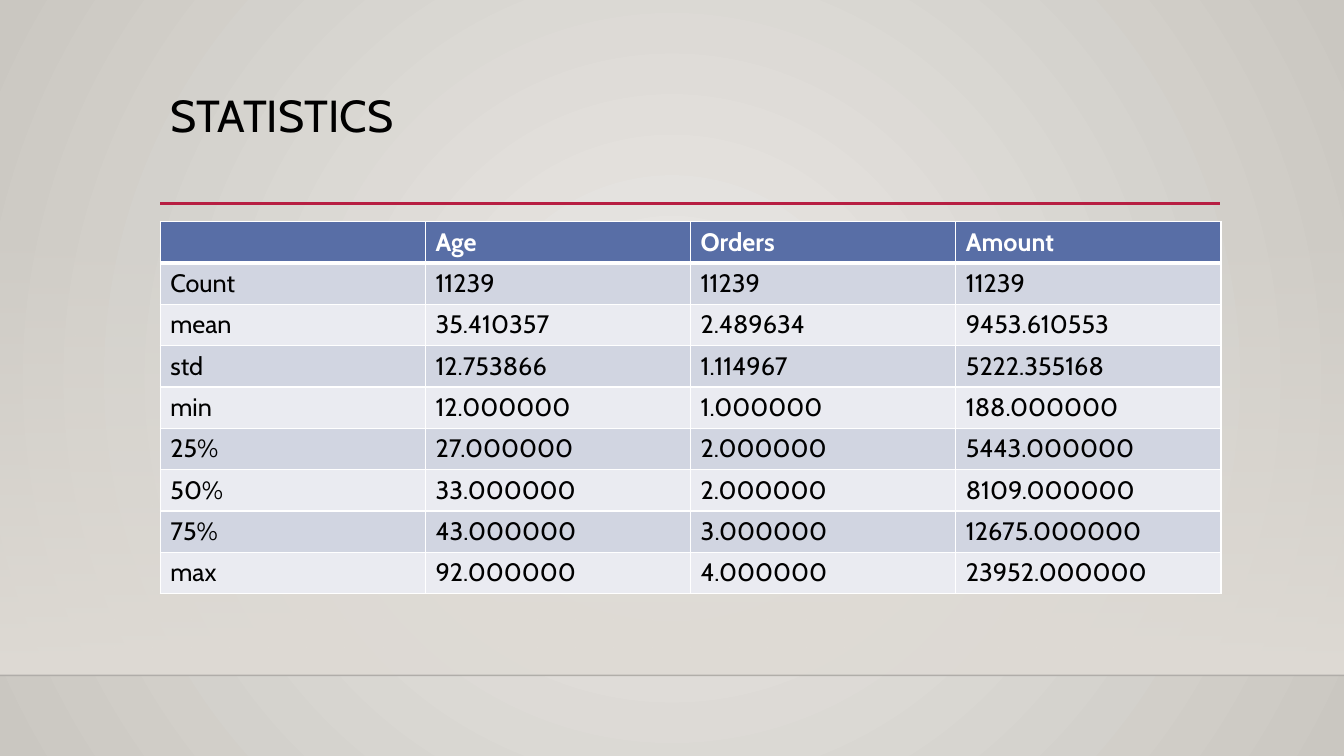
from lxml.etree import SubElement as Sub
from pptx import Presentation
from pptx.dml.color import RGBColor as RGB
from pptx.enum.shapes import MSO_CONNECTOR as CONN, MSO_SHAPE as SHAPE
from pptx.oxml import parse_xml
from pptx.oxml.ns import nsdecls, qn
from pptx.util import Inches, Pt

COLORS = {
    "bg_light": "ECEAE7", "bg_dark": "CAC7C1", "wall": "DFDBD5",
    "edge": "000001", "accent": "B71E42", "text": "000000",
    "white": "FFFFFF", "header": "586EA6",
    "band_dark": "D1D5E1", "band_light": "EAEBF1",
}

STATS = [
    ("", "Age", "Orders", "Amount"),
    ("Count", "11239", "11239", "11239"),
    ("mean", "35.410357", "2.489634", "9453.610553"),
    ("std", "12.753866", "1.114967", "5222.355168"),
    ("min", "12.000000", "1.000000", "188.000000"),
    ("25%", "27.000000", "2.000000", "5443.000000"),
    ("50%", "33.000000", "2.000000", "8109.000000"),
    ("75%", "43.000000", "3.000000", "12675.000000"),
    ("max", "92.000000", "4.000000", "23952.000000"),
]


class StatsSlide:
    """Hold the style and the current slide, with a method per element."""

    font = "Cabin"

    def __init__(self, prs):
        self.s = prs.slides.add_slide(prs.slide_layouts[6])

    def color(self, name):
        return RGB.from_string(COLORS[name])

    def set_alpha(self, parent, percent):
        clr = parent.find(".//" + qn("a:srgbClr"))
        Sub(clr, qn("a:alpha")).set("val", str(percent * 1000))

    def gradient(self, fill, start, end):
        fill.gradient()
        stops = fill.gradient_stops
        for stop, name, pos in zip(stops, (start, end), (0, 1)):
            stop.color.rgb = self.color(name)
            stop.position = pos

    def background(self, inner, outer):
        self.gradient(self.s.background.fill, inner, outer)
        lin = self.s.element.find(".//" + qn("a:lin"))
        lin.getparent().replace(lin, parse_xml(
            f'<a:path {nsdecls("a")} path="circle"><a:fillToRect l="50000" '
            't="50000" r="50000" b="50000"/></a:path>'))

    def fading_panel(self, x, y, w, h, name):
        sp = self.s.shapes.add_shape(
            SHAPE.RECTANGLE, Inches(x), Inches(y), Inches(w), Inches(h))
        sp.shadow.inherit = False
        sp.line.fill.background()
        self.gradient(sp.fill, name, name)
        sp.fill.gradient_angle = 270
        self.set_alpha(sp.element.spPr, 0)

    def rule(self, x1, x2, y, name, width, alpha=100):
        ln = self.s.shapes.add_connector(
            CONN.STRAIGHT, Inches(x1), Inches(y), Inches(x2), Inches(y))
        ln.line.color.rgb = self.color(name)
        ln.line.width = Pt(width)
        if alpha < 100:
            self.set_alpha(ln.element.spPr, alpha)
        Sub(ln.element.spPr, qn("a:effectLst"))

    def format_text(self, p, size, name, bold=False):
        for r in p.runs:
            r.font.name = self.font
            r.font.size = Pt(size)
            r.font.bold = bold
            r.font.color.rgb = self.color(name)

    def title(self, x, y, w, h, text):
        tf = self.s.shapes.add_textbox(
            Inches(x), Inches(y), Inches(w), Inches(h)).text_frame
        tf.word_wrap = True
        tf.text = text
        p = tf.paragraphs[0]
        p.line_spacing = 0.9
        self.format_text(p, 32, "text")

    def borders(self, cell, widths):
        tc_pr = cell._tc.get_or_add_tcPr()
        for side, width in widths.items():
            ln = Sub(tc_pr, qn(f"a:ln{side}"), w=str(Pt(width)))
            fill = Sub(ln, qn("a:solidFill"))
            Sub(fill, qn("a:srgbClr"), val=COLORS["white"])

    def table(self, x, y, col_w, row_h, rows):
        n_rows, n_cols = len(rows), len(rows[0])
        tbl = self.s.shapes.add_table(
            n_rows, n_cols, Inches(x), Inches(y),
            Inches(col_w * n_cols), Inches(row_h * n_rows)).table
        for col in tbl.columns:
            col.width = Inches(col_w)
        for i, values in enumerate(rows):
            tbl.rows[i].height = Inches(row_h)
            head = i == 0
            band = "header" if head else ("band_light", "band_dark")[i % 2]
            widths = {"L": 1, "R": 1, "T": 3 if i == 1 else 1,
                      "B": 3 if head else 1}
            for j, value in enumerate(values):
                cell = tbl.cell(i, j)
                self.borders(cell, widths)
                cell.fill.solid()
                cell.fill.fore_color.rgb = self.color(band)
                cell.text_frame.text = value
                self.format_text(cell.text_frame.paragraphs[0], 18,
                                 "white" if head else "text", head)


def main():
    prs = Presentation()
    prs.slide_width, prs.slide_height = Inches(13.33), Inches(7.5)
    slide = StatsSlide(prs)
    slide.background("bg_light", "bg_dark")
    slide.fading_panel(0, 2.21, 13.33, 4.49, "wall")
    slide.rule(0, 13.33, 6.7, "edge", 1, alpha=20)
    slide.rule(1.59, 12.1, 2.02, "accent", 2.5)
    slide.title(1.59, 0.88, 10.5, 1.15, "STATISTICS")
    slide.table(1.59, 2.2, 2.63, 0.41, STATS)
    prs.save("out.pptx")


if __name__ == "__main__":
    main()
